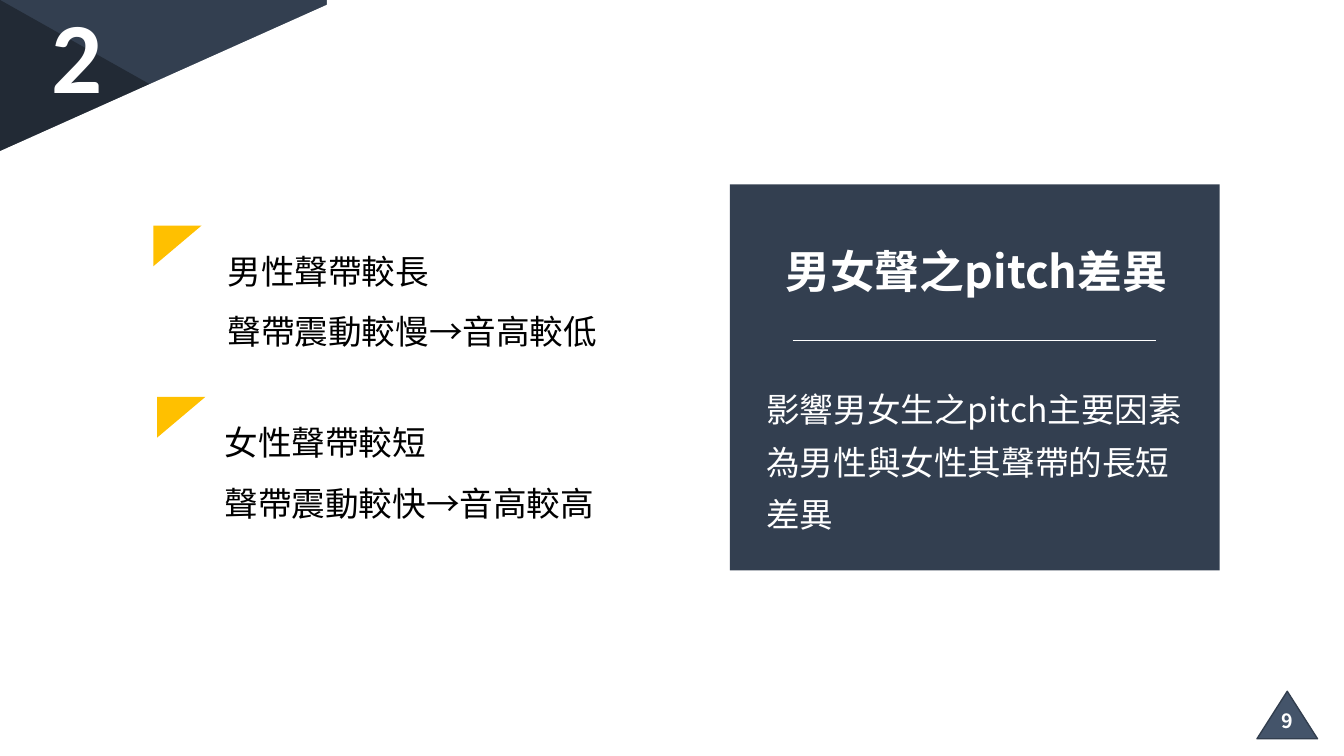
from lxml import etree
from pptx import Presentation
from pptx import util as u
from pptx.dml.color import RGBColor
from pptx.enum import shapes, text
from pptx.oxml.ns import qn

NAVY, DARK, WHITE, BLACK, GOLD = "333F50", "222A35", "FFFFFF", "000000", "FFC000"
COLUMNS, ROWS = 32, 18
PRESET = shapes.MSO_SHAPE


def color(value):
    return RGBColor.from_string(value)


class SlideBuilder:
    """Draws styled elements on a slide divided into 32 columns and 18 rows."""

    font = "Noto Sans CJK SC"

    def __init__(self, presentation):
        self.column = presentation.slide_width / COLUMNS
        self.row = presentation.slide_height / ROWS
        self.slide = presentation.slides.add_slide(presentation.slide_layouts[6])
        self.slide.background.fill.solid()
        self.slide.background.fill.fore_color.rgb = color(NAVY)

    def place(self, x, y):
        return round(x * self.column), round(y * self.row)

    def shape(self, kind, x, y, width, height, fill, line=None):
        shape = self.slide.shapes.add_shape(
            kind, *self.place(x, y), *self.place(width, height))
        shape.shadow.inherit = False
        shape.fill.solid()
        shape.fill.fore_color.rgb = color(fill)
        if line:
            shape.line.color.rgb = color(line)
            shape.line.width = u.Pt(1)
        else:
            shape.line.fill.background()
        return shape

    def corner(self, x, width):
        shade = self.shape(PRESET.ISOSCELES_TRIANGLE, 0, 0, COLUMNS, ROWS, DARK)
        shade.adjustments[0] = 0
        self.shape(PRESET.RECTANGLE, x, 0, COLUMNS - x, ROWS, WHITE)
        self.shape(PRESET.FLOWCHART_MANUAL_INPUT, 0, 0, width, ROWS, WHITE)

    def marker(self, x, y):
        marker = self.shape(PRESET.ISOSCELES_TRIANGLE, x, y, 1.15, 0.97, GOLD)
        marker.adjustments[0] = 1
        marker.rotation = 180

    def rule(self, x1, x2, y):
        rule = self.slide.shapes.add_connector(
            shapes.MSO_CONNECTOR.STRAIGHT, *self.place(x1, y), *self.place(x2, y))
        rule.line.color.rgb = color(WHITE)
        rule.line.width = u.Pt(0.5)
        etree.SubElement(rule._element.spPr, qn("a:effectLst"))

    def text(self, words, x, y, width, height, size, fill=WHITE, bold=False,
             spacing=1.0, align=text.PP_ALIGN.LEFT, font=None):
        box = self.slide.shapes.add_textbox(*self.place(x, y), *self.place(width, height))
        frame = box.text_frame
        frame.word_wrap = True
        frame.text = words
        for paragraph in frame.paragraphs:
            paragraph.line_spacing = spacing
            paragraph.alignment = align
            for run in paragraph.runs:
                run.font.size = u.Pt(size)
                run.font.bold = bold
                run.font.name = font or self.font
                run.font.color.rgb = color(fill)
                east_asian = etree.SubElement(run.font._element, qn("a:ea"))
                east_asian.set("typeface", self.font)


def main():
    presentation = Presentation()
    presentation.slide_width = u.Emu(12192000)
    presentation.slide_height = u.Inches(7.5)
    page = SlideBuilder(presentation)

    page.corner(7.78, 8.04)
    page.text("2", 0.98, -0.29, 1.8, 3.14, 72, bold=True, font="Calibri")

    page.shape(PRESET.RECTANGLE, 17.38, 4.39, 11.66, 9.19, NAVY)
    page.text("男女聲之pitch差異", 18.46, 5.69, 11.86, 1.54, 32, bold=True)
    page.rule(18.87, 27.53, 8.11)
    page.text("影響男女生之pitch主要因素為男性與女性其聲帶的長短差異",
              18.01, 8.86, 10.63, 3.89, 24, spacing=1.3)

    voices = [
        ("男性聲帶較長\n聲帶震動較慢→音高較低", 3.65, 5.18, 5.37, 13.27),
        ("女性聲帶較短\n聲帶震動較快→音高較高", 3.74, 5.11, 9.45, 10.3),
    ]
    for words, marker_x, text_x, y, width in voices:
        page.marker(marker_x, y)
        page.text(words, text_x, y, width, 3.14, 24, BLACK, spacing=1.5)

    page.shape(PRESET.ISOSCELES_TRIANGLE, 29.93, 16.46, 1.44, 1.13, "44546A", "323E4E")
    page.text("9", 29.93, 16.77, 1.44, 0.82, 14, bold=True, align=text.PP_ALIGN.CENTER)

    presentation.save("out.pptx")


if __name__ == "__main__":
    main()
